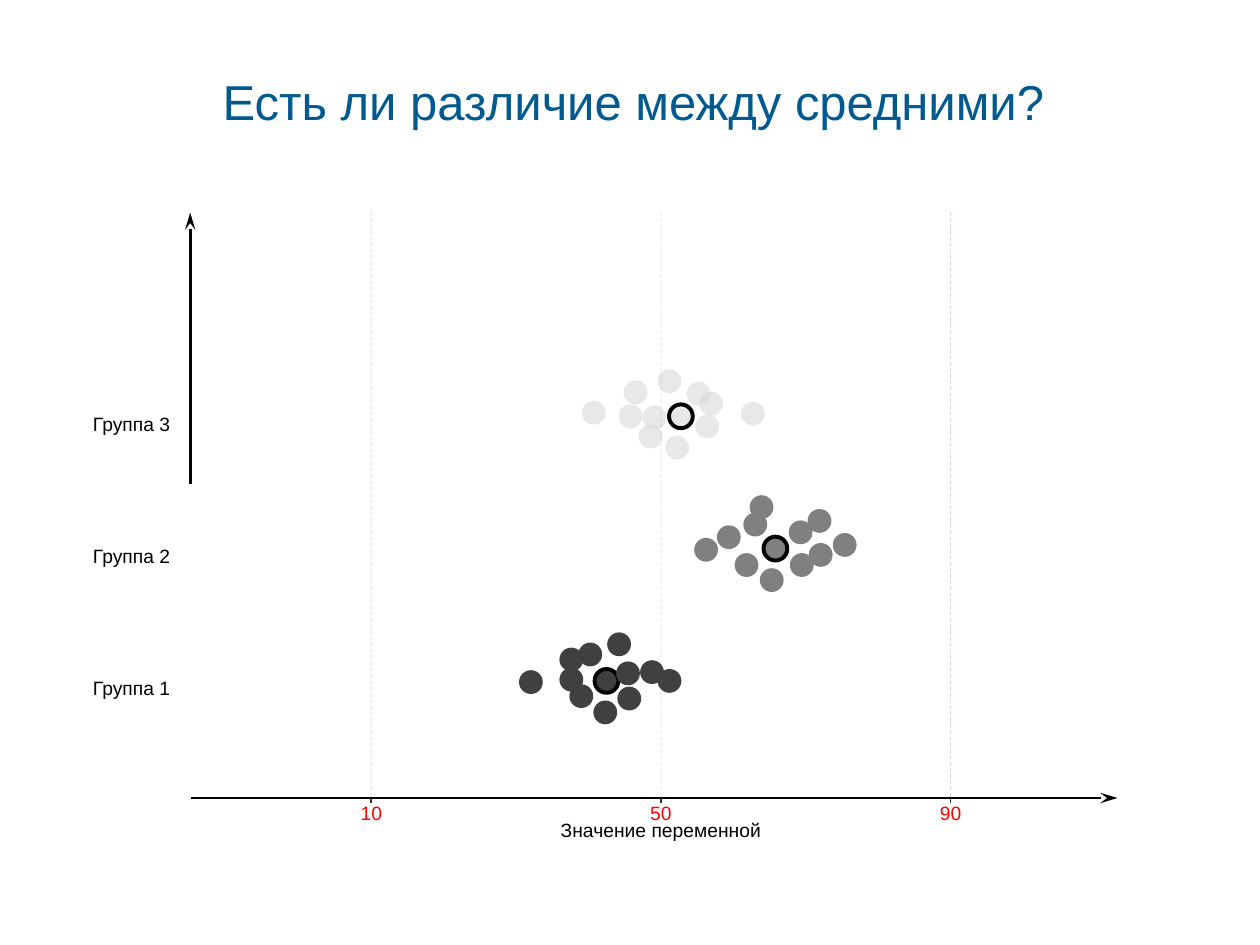
from lxml import etree
from pptx import Presentation
from pptx.dml.color import RGBColor
from pptx.enum.dml import MSO_LINE
from pptx.enum.shapes import MSO_CONNECTOR, MSO_SHAPE
from pptx.enum.text import MSO_ANCHOR, PP_ALIGN
from pptx.oxml.ns import qn
from pptx.util import Pt

STRAIGHT = MSO_CONNECTOR.STRAIGHT
OVAL = MSO_SHAPE.OVAL
DASH = MSO_LINE.DASH
MIDDLE, BOTTOM = MSO_ANCHOR.MIDDLE, MSO_ANCHOR.BOTTOM
LEFT, CENTER = PP_ALIGN.LEFT, PP_ALIGN.CENTER

COLORS = {
    "title": "00598F", "text": "000000", "value": "FF0000",
    "axis": "000000", "tick": "333333", "grid": "4472C4",
    "group 1": "404040", "group 2": "808080", "group 3": "D9D9D9",
}
DOT_SIZE = 13.6
AXIS_LEFT, AXIS_TOP, AXIS_BOTTOM = 108.7, 121.5, 456
VALUE_POSITIONS = {10: 212.2, 50: 377.7, 90: 543.2}

# Left and top of each dot; the first of a group is its mean
GROUPS = [
    ("Группа 3", "group 3", 60, [
        (382.3, 231.1), (399.6, 223.9), (353.5, 231.1), (380.2, 249.1),
        (332.6, 229), (365, 242.6), (367.2, 231.8), (392.4, 218.2),
        (423.4, 229.7), (375.8, 211), (356.4, 217.4), (397.4, 236.9)]),
    ("Группа 2", "group 2", 100, [
        (436.3, 306.7), (434.2, 324.7), (419.8, 316.1), (451.4, 316.1),
        (428.4, 283), (409.7, 300.2), (396.7, 307.4), (462.2, 310.3),
        (461.5, 290.9), (475.9, 304.6), (424.8, 293), (450.7, 297.4)]),
    ("Группа 1", "group 1", 100, [
        (339.8, 382.3), (352.8, 392.4), (319.7, 381.6), (375.8, 382.3),
        (330.5, 367.2), (296.6, 383), (339.1, 400.3), (319.7, 370.1),
        (352.1, 378), (365.8, 377.3), (325.4, 391), (347, 361.4)]),
]

deck = Presentation()
deck.slide_width, deck.slide_height = Pt(720), Pt(540)
page = deck.slides.add_slide(deck.slide_layouts[5])


def add_text(text, left, top, width, height, color="text", spacing=11):
    box = page.shapes.add_textbox(Pt(left), Pt(top), Pt(width), Pt(height))
    frame = box.text_frame
    frame.word_wrap = False
    frame.vertical_anchor = MIDDLE
    frame.margin_left = frame.margin_right = Pt(0)
    frame.margin_top = frame.margin_bottom = Pt(0)
    para = frame.paragraphs[0]
    para.alignment = CENTER
    para.line_spacing = Pt(spacing)
    span = para.add_run()
    span.text = text
    span.font.size, span.font.name = Pt(11), "Arial"
    span.font.color.rgb = RGBColor.from_string(COLORS[color])


def add_line(start, end, color, width, arrow=False, dash=None, opacity=100):
    line = page.shapes.add_connector(STRAIGHT, *map(Pt, start + end))
    line.line.width = Pt(width)
    line.line.color.rgb = RGBColor.from_string(COLORS[color])
    if dash:
        line.line.dash_style = dash
    outline = line.line._get_or_add_ln()
    if opacity < 100:
        tint = outline.find(".//" + qn("a:srgbClr"))
        etree.SubElement(tint, qn("a:alpha"), val=str(opacity * 1000))
    if arrow:
        etree.SubElement(outline, qn("a:tailEnd"), type="stealth", w="med", len="lg")
    etree.SubElement(line._element.spPr, qn("a:effectLst"))


# Title
title = page.shapes.title
title.left, title.top, title.width, title.height = Pt(120), Pt(37), Pt(490), Pt(41)
title.text_frame.word_wrap = True
title.text_frame.vertical_anchor = BOTTOM
para = title.text_frame.paragraphs[0]
para.alignment = LEFT
span = para.add_run()
span.text = "Есть ли различие между средними?"
span.font.size, span.font.name = Pt(28), "Arial"
span.font.color.rgb = RGBColor.from_string(COLORS["title"])

# Axes
add_line((AXIS_LEFT, 276.5), (AXIS_LEFT, AXIS_TOP), "axis", 1.5, arrow=True)
add_line((109, AXIS_BOTTOM), (638.6, AXIS_BOTTOM), "axis", 1.5, arrow=True)
add_text("Значение переменной", 317.7, 470, 120, 10)

# Groups: label and dots
for row, (label, color, opacity, dots) in enumerate(GROUPS):
    add_text(label, 47.5, 238.2 + 75.5 * row, 55.4, 10)
    for index, (left, top) in enumerate(dots):
        dot = page.shapes.add_shape(OVAL, Pt(left), Pt(top), Pt(DOT_SIZE), Pt(DOT_SIZE))
        dot.shadow.inherit = False
        dot.fill.solid()
        dot.fill.fore_color.rgb = RGBColor.from_string(COLORS[color])
        if opacity < 100:
            tint = dot._element.spPr.find(".//" + qn("a:srgbClr"))
            etree.SubElement(tint, qn("a:alpha"), val=str(opacity * 1000))
        if index == 0:
            dot.line.width = Pt(2.25)
            dot.line.color.rgb = RGBColor.from_string(COLORS["axis"])
        else:
            dot.line.fill.background()

# Value marks: tick, grid line and number
for value, x in VALUE_POSITIONS.items():
    add_line((x, AXIS_BOTTOM + 2.8), (x, AXIS_BOTTOM), "tick", 1.07)
    add_line((x, 121), (x, AXIS_BOTTOM), "grid", 0.5, dash=DASH, opacity=25)
    add_text(str(value), x - 10, 463.7, 20, 6.5, color="value", spacing=8.8)

deck.save("out.pptx")
